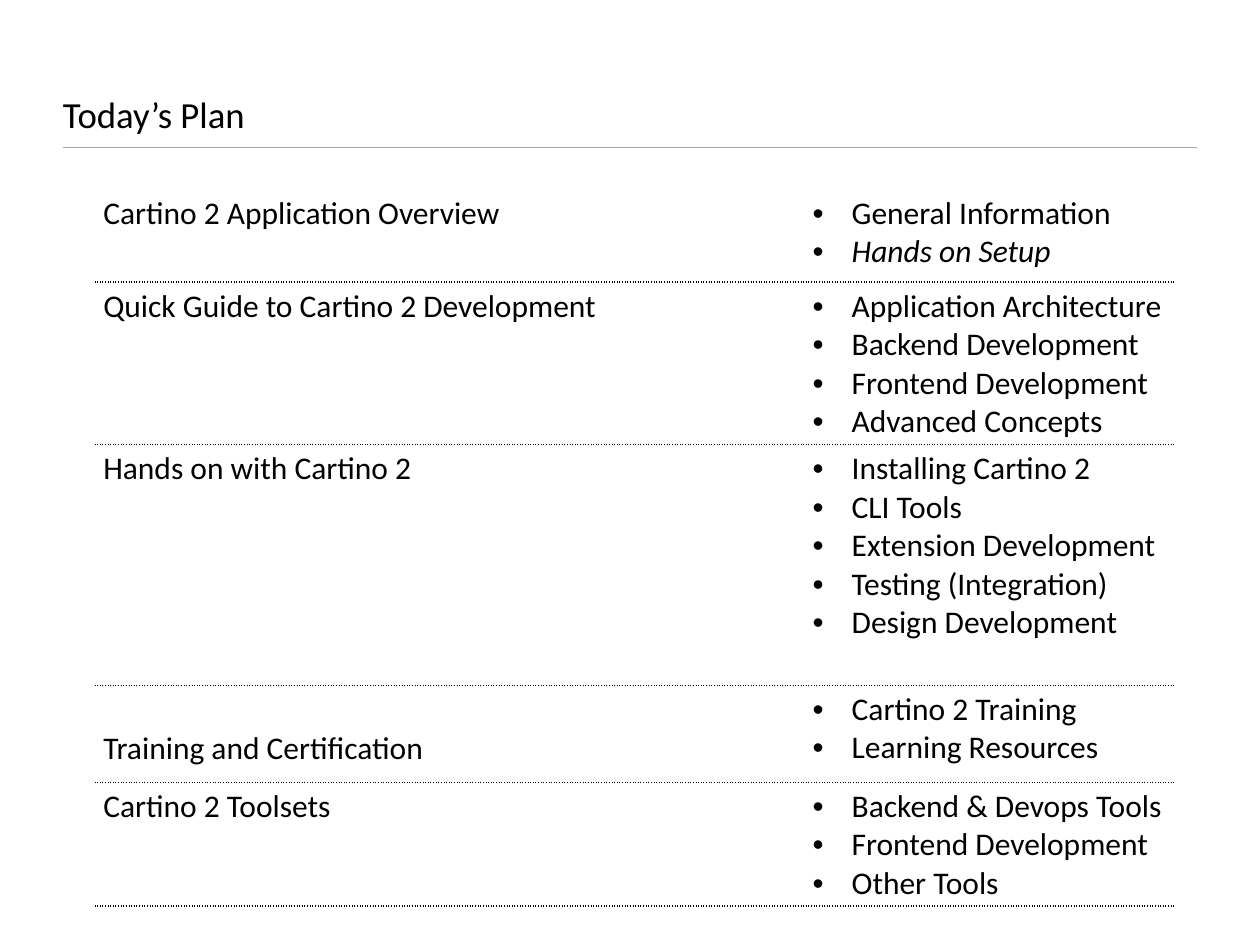
from dataclasses import dataclass

from lxml.etree import SubElement
from pptx import Presentation
from pptx.dml.color import RGBColor
from pptx.enum.shapes import MSO_CONNECTOR
from pptx.enum.text import MSO_ANCHOR
from pptx.oxml import parse_xml
from pptx.oxml.ns import nsdecls, qn
from pptx.slide import Slide
from pptx.table import Table, _Cell
from pptx.text.text import _Paragraph
from pptx.util import Inches, Pt


@dataclass(frozen=True)
class Theme:
    font: str = "Calibri"
    ink: RGBColor = RGBColor(0, 0, 0)
    accent: RGBColor = RGBColor(0xF2, 0x9C, 0x12)
    title_size: int = 21
    body_size: int = 18
    rule_width: float = 0.75
    border_width: float = 1
    plain_table_style: str = "{2D5ABB26-0587-4C30-8999-92F81FD0307C}"


@dataclass(frozen=True)
class Section:
    name: str
    topics: tuple[str, ...]
    height: float
    name_top: float = 0.04
    italic_topics: tuple[str, ...] = ()


THEME = Theme()
COLUMN_WIDTHS = (5.63, 2.95)
SECTIONS = (
    Section("Cartino 2 Application Overview",
            ("General Information", "Hands on Setup"),
            0.74, italic_topics=("Hands on Setup",)),
    Section("Quick Guide to Cartino 2 Development",
            ("Application Architecture", "Backend Development",
             "Frontend Development", "Advanced Concepts"), 1.29),
    Section("Hands on with Cartino 2",
            ("Installing Cartino 2", "CLI Tools", "Extension Development",
             "Testing (Integration)", "Design Development"), 1.91),
    Section("Training and Certification",
            ("Cartino 2 Training", "Learning Resources"), 0.77, name_top=0.35),
    Section("Cartino 2 Toolsets",
            ("Backend & Devops Tools", "Frontend Development", "Other Tools"), 0.98),
)


def format_text(paragraph: _Paragraph, size: int, italic: bool = False) -> None:
    for run in paragraph.runs:
        run.font.name = THEME.font
        run.font.size = Pt(size)
        run.font.color.rgb = THEME.ink
        run.font.italic = italic


def add_bullet(paragraph: _Paragraph) -> None:
    properties = paragraph._p.get_or_add_pPr()
    properties.set("marL", str(Inches(0.31)))
    properties.set("indent", str(-Inches(0.31)))
    SubElement(properties, qn("a:buFont")).set("typeface", "Arial")
    SubElement(properties, qn("a:buChar")).set("char", "•")


def prepare_cell(cell: _Cell, top: float = 0.04) -> None:
    cell.margin_left = cell.margin_right = Inches(0.07)
    cell.margin_top = Inches(top)
    cell.margin_bottom = Inches(0.04)
    cell.vertical_anchor = MSO_ANCHOR.TOP
    cell.fill.background()
    border = parse_xml(
        f'<a:lnB {nsdecls("a")} w="{Pt(THEME.border_width)}">'
        f'<a:solidFill><a:srgbClr val="{THEME.ink}"/></a:solidFill>'
        '<a:prstDash val="sysDot"/></a:lnB>')
    cell._tc.get_or_add_tcPr().insert(0, border)


def add_title(slide: Slide, text: str) -> None:
    title = slide.shapes.add_textbox(Inches(0.5), Inches(0.33), Inches(9), Inches(0.8))
    text_frame = title.text_frame
    text_frame.word_wrap = True
    text_frame.vertical_anchor = MSO_ANCHOR.BOTTOM
    text_frame.margin_left = 0
    text_frame.text = text
    format_text(text_frame.paragraphs[0], THEME.title_size)

    rule = slide.shapes.add_connector(
        MSO_CONNECTOR.STRAIGHT, Inches(0.5), Inches(1.17), Inches(9.5), Inches(1.17))
    rule.line.color.rgb = THEME.accent
    rule.line.width = Pt(THEME.rule_width)
    SubElement(rule._element.spPr, qn("a:effectLst"))


def fill_row(table: Table, index: int, section: Section) -> None:
    table.rows[index].height = Inches(section.height)
    name_cell, topics_cell = table.cell(index, 0), table.cell(index, 1)
    prepare_cell(name_cell, section.name_top)
    prepare_cell(topics_cell)
    name_cell.text_frame.text = section.name
    format_text(name_cell.text_frame.paragraphs[0], THEME.body_size)
    topics_cell.text_frame.text = "\n".join(section.topics)
    for paragraph in topics_cell.text_frame.paragraphs:
        add_bullet(paragraph)
        format_text(paragraph, THEME.body_size, paragraph.text in section.italic_topics)


def add_plan(slide: Slide, sections: tuple[Section, ...]) -> None:
    frame = slide.shapes.add_table(
        len(sections), len(COLUMN_WIDTHS), Inches(0.75), Inches(1.5),
        Inches(sum(COLUMN_WIDTHS)), Inches(sum(section.height for section in sections)))
    table = frame.table
    table.first_row = False
    table.horz_banding = False
    table._tbl.tblPr.find(qn("a:tableStyleId")).text = THEME.plain_table_style
    for column, width in zip(table.columns, COLUMN_WIDTHS):
        column.width = Inches(width)
    for index, section in enumerate(sections):
        fill_row(table, index, section)


def main() -> None:
    presentation = Presentation()
    presentation.slide_width = Inches(10)
    presentation.slide_height = Inches(7.5)
    slide = presentation.slides.add_slide(presentation.slide_layouts[6])
    add_title(slide, "Today’s Plan")
    add_plan(slide, SECTIONS)
    presentation.save("out.pptx")


if __name__ == "__main__":
    main()
